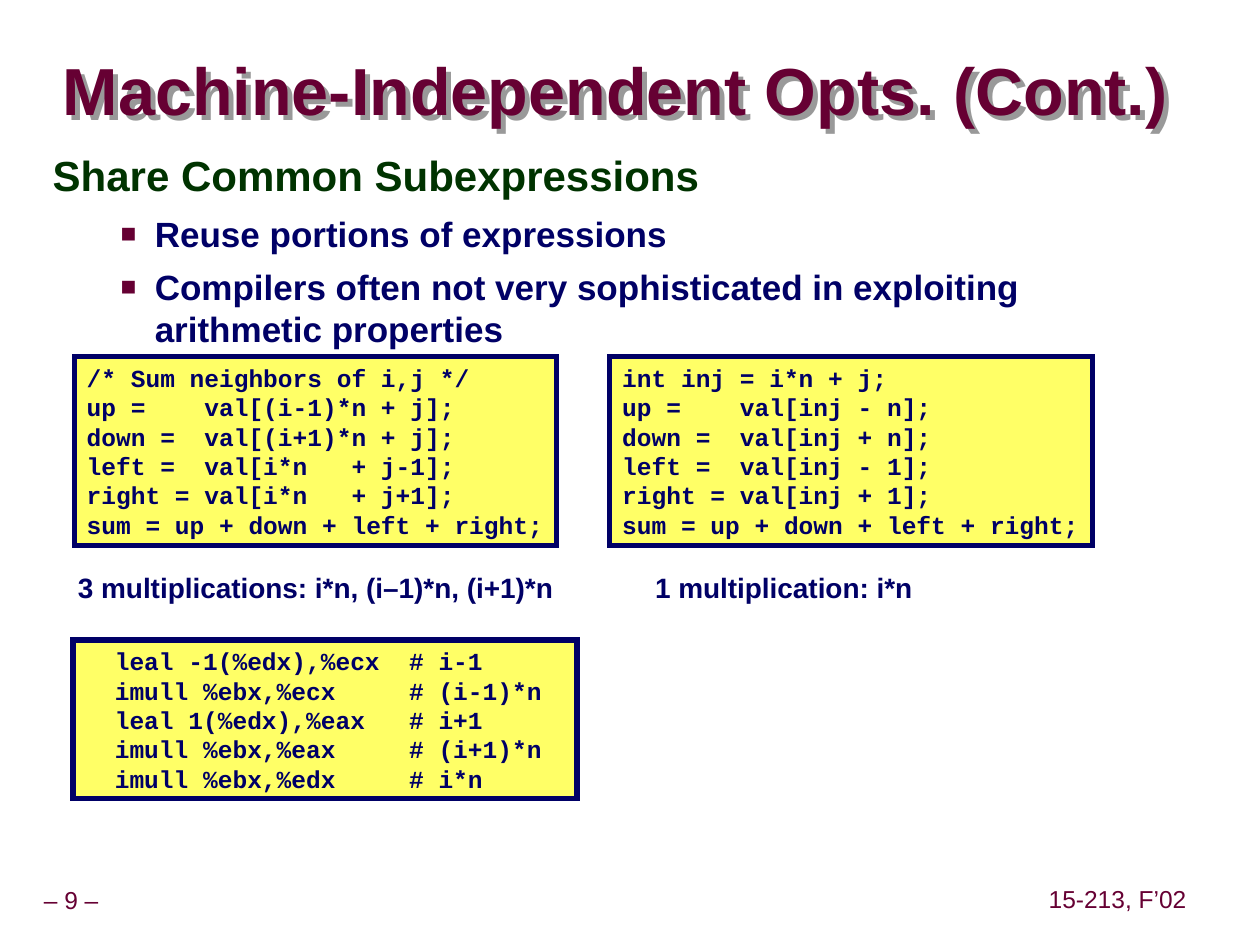
from dataclasses import dataclass

from lxml import etree
from pptx import Presentation
from pptx.dml.color import RGBColor
from pptx.enum import shapes, text
from pptx.oxml import ns
from pptx.util import Inches, Pt

COLORS = {
    "maroon": "660033",
    "green": "003300",
    "navy": "000066",
    "yellow": "FFFF66",
    "gray": "999999",
    "white": "FFFFFF",
}
INSETS = (0.1, 0.05, 0.1, 0.05)


@dataclass
class Style:
    size: float
    color: str
    font: str = "Arial"
    bold: bool = True
    align: text.PP_ALIGN = text.PP_ALIGN.LEFT
    line_spacing: float = 1.0
    space_before: float = 0
    margin: float = 0
    indent: float = 0
    bullet: str = ""


@dataclass
class Block:
    left: float
    top: float
    width: float
    height: float
    lines: list[str]
    style: Style
    wrap: bool = False
    boxed: bool = False
    grow: bool = True
    insets: tuple[float, ...] = INSETS
    anchor: text.MSO_ANCHOR = text.MSO_ANCHOR.TOP


FOOTER = Style(14, "maroon", bold=False, align=text.PP_ALIGN.CENTER, line_spacing=0.9)
TITLE = Style(38, "maroon", line_spacing=0.87)
HEADING = Style(24, "green", line_spacing=0.95, space_before=15, margin=0.42, indent=-0.42)
BULLET = Style(20, "navy", space_before=6.2, margin=0.81, indent=-0.27, bullet="■")
CODE = Style(14, "navy", font="Courier New")
CAPTION = Style(16, "navy")

FOOTERS = [
    Block(-0.09, 7, 1.31, 0.31, ["– 9 –"], FOOTER,
          insets=(0.05,) * 4, anchor=text.MSO_ANCHOR.MIDDLE),
    Block(8.27, 6.99, 1.2, 0.31, ["15-213, F’02"], FOOTER,
          insets=(0.05,) * 4, anchor=text.MSO_ANCHOR.MIDDLE),
]
HEADLINE = Block(0.5, 0.17, 9.17, 1.16, ["Machine-Independent Opts. (Cont.)"], TITLE,
                 wrap=True, grow=False, insets=(0,) * 4, anchor=text.MSO_ANCHOR.MIDDLE)
BODY = Block(0.32, 1.17, 9.09, 5.88, ["Share Common Subexpressions"], HEADING,
             wrap=True, grow=False)
BULLETS = [
    "Reuse portions of expressions",
    "Compilers often not very sophisticated in exploiting arithmetic properties",
]
EXAMPLES = [
    Block(0.59, 2.83, 3.83, 1.5, [
        "/* Sum neighbors of i,j */",
        "up =    val[(i-1)*n + j];",
        "down =  val[(i+1)*n + j];",
        "left =  val[i*n   + j-1];",
        "right = val[i*n   + j+1];",
        "sum = up + down + left + right;",
    ], CODE, boxed=True),
    Block(4.84, 2.83, 3.83, 1.5, [
        "int inj = i*n + j;",
        "up =    val[inj - n];",
        "down =  val[inj + n];",
        "left =  val[inj - 1];",
        "right = val[inj + 1];",
        "sum = up + down + left + right;",
    ], CODE, boxed=True),
    Block(0.52, 4.48, 4.1, 0.36, ["3 multiplications: i*n, (i–1)*n, (i+1)*n"], CAPTION,
          wrap=True),
    Block(5.1, 4.48, 2.35, 0.36, ["1 multiplication: i*n"], CAPTION, wrap=True),
    Block(0.58, 5.08, 4, 1.26, [
        "  leal -1(%edx),%ecx  # i-1",
        "  imull %ebx,%ecx     # (i-1)*n",
        "  leal 1(%edx),%eax   # i+1",
        "  imull %ebx,%eax     # (i+1)*n",
        "  imull %ebx,%edx     # i*n",
    ], CODE, wrap=True, boxed=True),
]


def rgb(name: str) -> RGBColor:
    return RGBColor.from_string(COLORS[name])


def add_color(parent, name: str) -> None:
    etree.SubElement(parent, ns.qn("a:srgbClr"), val=COLORS[name])


def format_paragraph(p, style: Style) -> None:
    p.alignment = style.align
    p.line_spacing = style.line_spacing
    p.space_before = Pt(style.space_before)
    pPr = p._p.get_or_add_pPr()
    pPr.set("marL", str(Inches(style.margin)))
    pPr.set("indent", str(Inches(style.indent)))
    if style.bullet:
        add_color(etree.SubElement(pPr, ns.qn("a:buClr")), "maroon")
        etree.SubElement(pPr, ns.qn("a:buSzPct"), val="75000")
        etree.SubElement(pPr, ns.qn("a:buFont"), typeface="Arial")
        etree.SubElement(pPr, ns.qn("a:buChar"), char=style.bullet)
    for r in p.runs:
        r.font.size = Pt(style.size)
        r.font.name = style.font
        r.font.bold = style.bold
        r.font.color.rgb = rgb(style.color)


def add_block(s, block: Block):
    box = [Inches(v) for v in (block.left, block.top, block.width, block.height)]
    if block.boxed:
        sp = s.shapes.add_shape(shapes.MSO_SHAPE.RECTANGLE, *box)
        sp.shadow.inherit = False
        sp.fill.solid()
        sp.fill.fore_color.rgb = rgb("yellow")
        sp.line.color.rgb = rgb("navy")
        sp.line.width = Pt(3)
        ln = sp._element.spPr.find(ns.qn("a:ln"))
        etree.SubElement(ln, ns.qn("a:miter"), lim="800000")
    else:
        sp = s.shapes.add_textbox(*box)
    tf = sp.text_frame
    tf.text = "\n".join(block.lines)
    tf.word_wrap = block.wrap
    tf.auto_size = (text.MSO_AUTO_SIZE.SHAPE_TO_FIT_TEXT if block.grow
                    else text.MSO_AUTO_SIZE.NONE)
    tf.vertical_anchor = block.anchor
    tf.margin_left, tf.margin_top, tf.margin_right, tf.margin_bottom = map(Inches, block.insets)
    for p in tf.paragraphs:
        format_paragraph(p, block.style)
    return sp


def add_shadow(sp) -> None:
    effects = etree.SubElement(sp._element.spPr, ns.qn("a:effectLst"))
    shadow = etree.SubElement(effects, ns.qn("a:outerShdw"),
                              dist=str(Pt(4)), dir="2700000", algn="tl")
    add_color(shadow, "gray")


def main() -> None:
    prs = Presentation()
    prs.slide_width, prs.slide_height = Inches(10), Inches(7.5)
    s = prs.slides.add_slide(prs.slide_layouts[6])
    s.background.fill.solid()
    s.background.fill.fore_color.rgb = rgb("white")
    for block in FOOTERS:
        add_block(s, block)
    add_shadow(add_block(s, HEADLINE))
    body = add_block(s, BODY)
    for line in BULLETS:
        p = body.text_frame.add_paragraph()
        p.text = line
        p.level = 1
        format_paragraph(p, BULLET)
    for block in EXAMPLES:
        add_block(s, block)
    prs.save("out.pptx")


if __name__ == "__main__":
    main()
